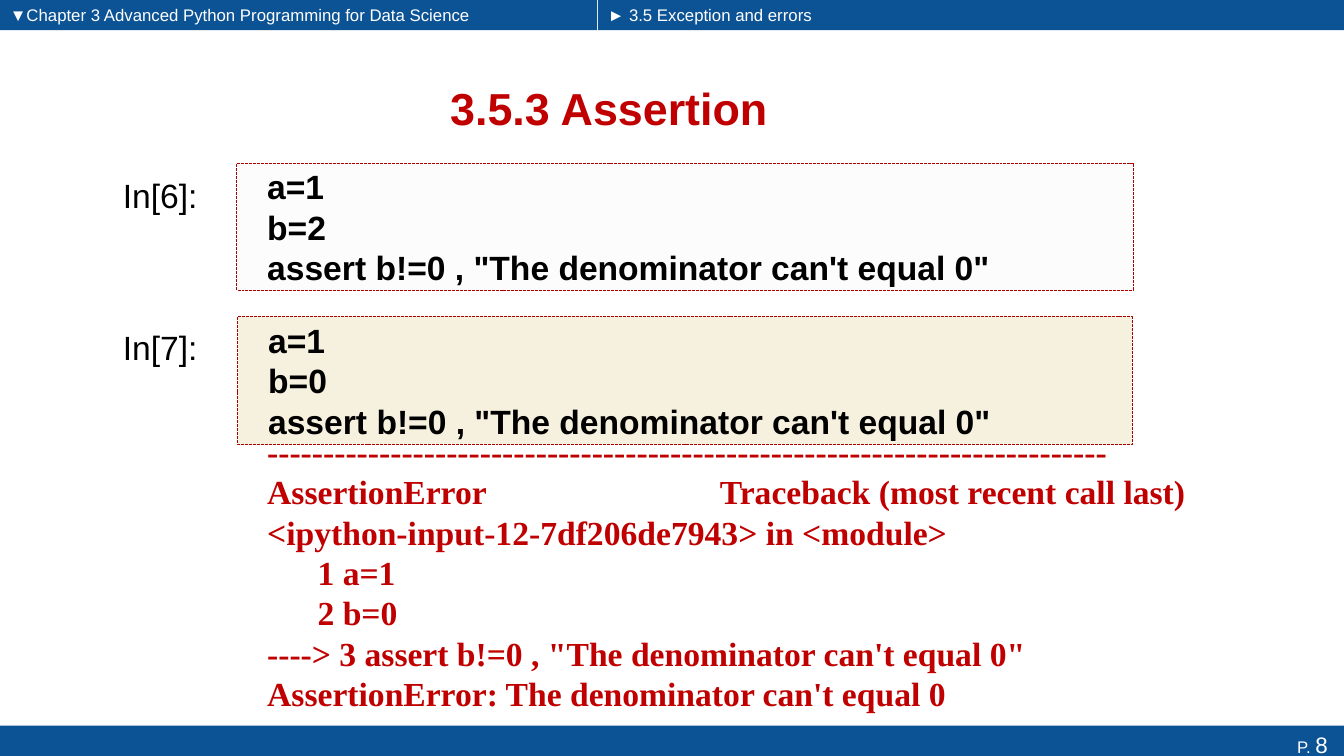
from lxml import etree
from pptx import Presentation
from pptx.dml.color import RGBColor
from pptx.enum.dml import MSO_LINE
from pptx.enum.shapes import MSO_SHAPE
from pptx.enum.text import MSO_ANCHOR, PP_ALIGN
from pptx.oxml.ns import qn
from pptx.util import Inches, Pt

RECT = MSO_SHAPE.RECTANGLE
DASH = MSO_LINE.SQUARE_DOT
TOP, MIDDLE = MSO_ANCHOR.TOP, MSO_ANCHOR.MIDDLE
LEFT, CENTER, RIGHT = PP_ALIGN.LEFT, PP_ALIGN.CENTER, PP_ALIGN.RIGHT


def paint(code):
    return RGBColor.from_string(code)


class Page:
    blue, red, edge = "0B5394", "C00000", "AB0000"
    black, white = "000000", "FFFFFF"
    sans, serif = "Arial", "Times New Roman"

    def __init__(self, deck):
        self.slide = deck.slides.add_slide(deck.slide_layouts[6])

    def style(self, run, size, color, bold=False, font=sans):
        run.font.name = font
        run.font.size = Pt(size)
        run.font.bold = bold
        run.font.color.rgb = paint(color)

    def fit(self, shape, text, size, color, bold=False, font=sans,
            align=LEFT, anchor=TOP, left=0.1, right=0.1):
        frame = shape.text_frame
        frame.text = text
        frame.word_wrap = True
        frame.vertical_anchor = anchor
        frame.margin_left, frame.margin_right = Inches(left), Inches(right)
        frame.margin_top = frame.margin_bottom = Inches(0.05)
        for para in frame.paragraphs:
            para.alignment = align
            for run in para.runs:
                self.style(run, size, color, bold, font)
        return frame

    def label(self, area, text, size, color, **look):
        box = self.slide.shapes.add_textbox(*map(Inches, area))
        return self.fit(box, text, size, color, **look)

    def bar(self, area, fill):
        shape = self.slide.shapes.add_shape(RECT, *map(Inches, area))
        shape.shadow.inherit = False
        shape.fill.solid()
        shape.fill.fore_color.rgb = paint(fill)
        shape.line.fill.background()
        return shape

    def cell(self, area, code, fill):
        shape = self.bar(area, fill)
        tint = shape._element.spPr.find(qn("a:solidFill"))[0]
        etree.SubElement(tint, qn("a:alpha")).set("val", "13000")
        shape.line.color.rgb = paint(self.edge)
        shape.line.width = Pt(0.7)
        shape.line.dash_style = DASH
        self.fit(shape, code, 24, self.black, bold=True, anchor=MIDDLE, left=0.3)

    def trace(self, area, text, stop):
        frame = self.label(area, text, 24, self.red, bold=True,
                           font=self.serif, anchor=MIDDLE, left=0.3)
        for para in frame.paragraphs:
            if "\t" in para.text:
                tabs = etree.SubElement(para._p.get_or_add_pPr(), qn("a:tabLst"))
                tab = etree.SubElement(tabs, qn("a:tab"))
                tab.set("pos", str(Inches(stop)))
                tab.set("algn", "l")

    def foot(self, area, number):
        frame = self.fit(self.bar(area, self.blue), "P. ", 12, self.white,
                         align=RIGHT, right=0.16)
        run = frame.paragraphs[0].add_run()
        run.text = number
        self.style(run, 16, self.white)


def main():
    deck = Presentation()
    deck.slide_width, deck.slide_height = Inches(13.33), Inches(7.5)
    page = Page(deck)

    heads = [
        (0, 5.92, "▼Chapter 3 Advanced Python Programming for Data Science"),
        (5.93, 7.4, "► 3.5 Exception and errors"),
    ]
    for left, width, text in heads:
        page.bar((left, 0, width, 0.3), page.blue)
        page.label((left, 0, width, 0.29), text, 12, page.white)
    page.foot((0, 7.2, 13.33, 0.37), "8")

    page.label((0.68, 0.62, 10.72, 0.9), "3.5.3 Assertion", 32, page.red,
               bold=True, align=CENTER, anchor=MIDDLE)

    cells = [
        ("In[6]:", 1.69, (2.35, 1.62, 8.89, 1.26), "2", "F1EEF4"),
        ("In[7]:", 3.19, (2.36, 3.14, 8.87, 1.27), "0", "BF9000"),
    ]
    for name, top, area, value, fill in cells:
        page.label((1.12, top, 1.13, 0.5), name, 24, page.black)
        code = f'a=1\nb={value}\nassert b!=0 , "The denominator can\'t equal 0"'
        page.cell(area, code, fill)

    lines = [
        "-" * 75,
        "AssertionError\tTraceback (most recent call last)",
        "<ipython-input-12-7df206de7943> in <module>",
        "      1 a=1",
        "      2 b=0",
        '----> 3 assert b!=0 , "The denominator can\'t equal 0"',
        "AssertionError: The denominator can't equal 0",
    ]
    page.trace((2.35, 4.46, 10.39, 2.43), "\n".join(lines), 4.49)
    deck.save("out.pptx")


if __name__ == "__main__":
    main()
